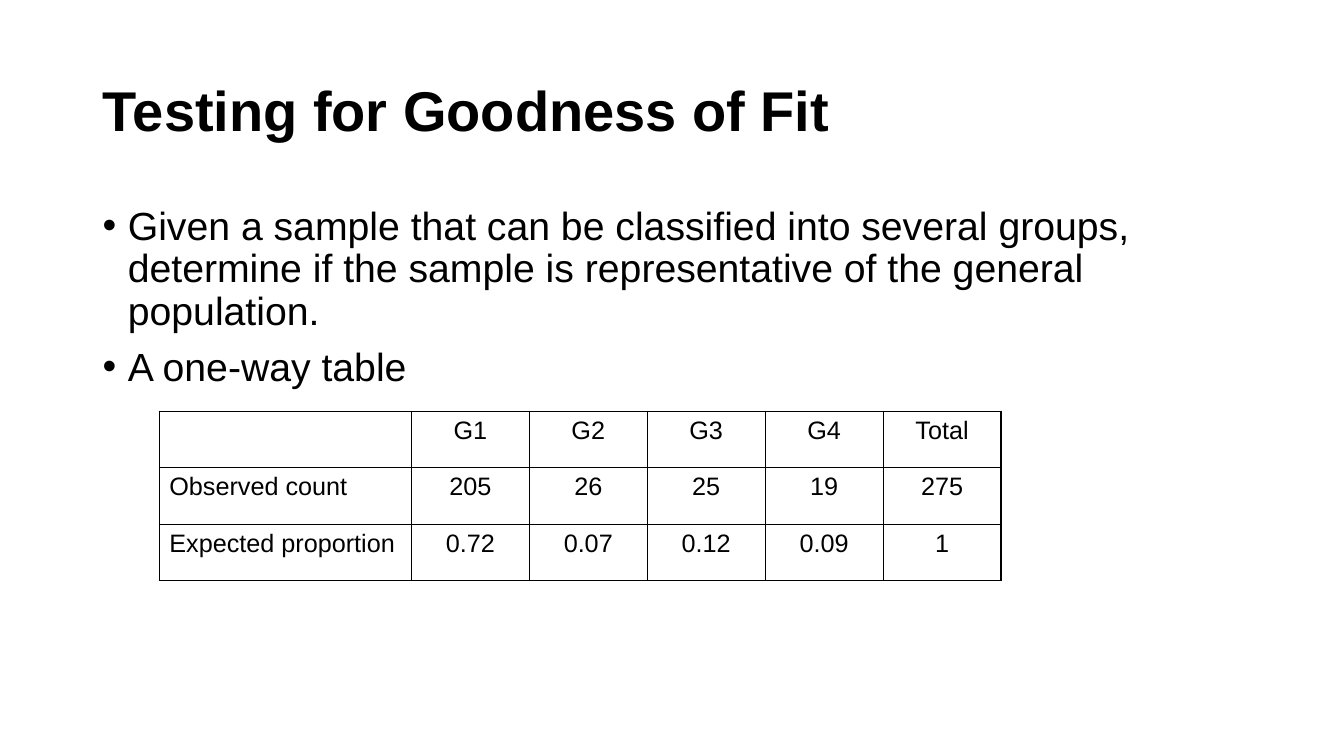
from lxml import etree
from pptx import Presentation
from pptx.dml.color import RGBColor
from pptx.enum.text import MSO_ANCHOR, PP_ALIGN
from pptx.oxml.ns import qn
from pptx.util import Inches, Pt

LEFT, CENTER = PP_ALIGN.LEFT, PP_ALIGN.CENTER
MIDDLE = MSO_ANCHOR.MIDDLE
FONT = "Arial"
COLORS = {"text": "000000", "border": "000000", "background": "FFFFFF"}
TITLE_ONLY = 5
MARGIN, CONTENT_WIDTH = 0.92, 11.5

BULLETS = [
    "Given a sample that can be classified into several groups, "
    "determine if the sample is representative of the general population.",
    "A one-way table",
]
TABLE_ROWS = [
    ["", "G1", "G2", "G3", "G4", "Total"],
    ["Observed count", "205", "26", "25", "19", "275"],
    ["Expected proportion", "0.72", "0.07", "0.12", "0.09", "1"],
]
LABEL_WIDTH, VALUE_WIDTH, ROW_HEIGHT = 2.5, 1.17, 0.56


def add_run(paragraph, text, size, bold=False):
    """Add one formatted run to a paragraph."""
    run = paragraph.add_run()
    run.text = text
    run.font.name = FONT
    run.font.size = Pt(size)
    run.font.bold = bold
    run.font.color.rgb = RGBColor.from_string(COLORS["text"])


def set_title(slide, text):
    """Place and fill the title placeholder."""
    title = slide.shapes.title
    title.left, title.top = Inches(MARGIN), Inches(0.4)
    title.width, title.height = Inches(CONTENT_WIDTH), Inches(1.45)
    title.text_frame.vertical_anchor = MIDDLE
    title.text_frame.word_wrap = True
    paragraph = title.text_frame.paragraphs[0]
    paragraph.alignment = LEFT
    paragraph.line_spacing = 0.9
    add_run(paragraph, text, 40, bold=True)


def format_bullet(paragraph):
    """Give a paragraph a round bullet with a hanging indent."""
    paragraph.line_spacing = 0.9
    paragraph.space_before = Pt(10)
    properties = paragraph._p.get_or_add_pPr()
    properties.set("marL", str(Inches(0.25)))
    properties.set("indent", str(Inches(-0.25)))
    etree.SubElement(properties, qn("a:buFont"), typeface=FONT)
    etree.SubElement(properties, qn("a:buChar"), char="•")


def add_bullets(slide, texts):
    """Add the bulleted body text."""
    box = slide.shapes.add_textbox(
        Inches(MARGIN), Inches(2), Inches(CONTENT_WIDTH), Inches(4.76))
    frame = box.text_frame
    frame.word_wrap = True
    for index, text in enumerate(texts):
        paragraph = frame.add_paragraph() if index else frame.paragraphs[0]
        format_bullet(paragraph)
        add_run(paragraph, text, 28)


def format_cell(cell):
    """Draw a thin border on every side and leave the cell unfilled."""
    properties = cell._tc.get_or_add_tcPr()
    for side in ("a:lnL", "a:lnR", "a:lnT", "a:lnB"):
        line = etree.SubElement(properties, qn(side), w=str(Pt(1)))
        fill = etree.SubElement(line, qn("a:solidFill"))
        etree.SubElement(fill, qn("a:srgbClr"), val=COLORS["border"])
    cell.fill.background()


def add_one_way_table(slide, rows):
    """Add the table of counts and proportions by group."""
    widths = [LABEL_WIDTH] + [VALUE_WIDTH] * (len(rows[0]) - 1)
    table = slide.shapes.add_table(
        len(rows), len(widths), Inches(1.58), Inches(4.08),
        Inches(sum(widths)), Inches(ROW_HEIGHT * len(rows))).table
    table.first_row = table.horz_banding = False
    for column, width in zip(table.columns, widths):
        column.width = Inches(width)
    for row_index, values in enumerate(rows):
        table.rows[row_index].height = Inches(ROW_HEIGHT)
        for column_index, value in enumerate(values):
            cell = table.cell(row_index, column_index)
            format_cell(cell)
            paragraph = cell.text_frame.paragraphs[0]
            paragraph.alignment = CENTER if column_index else LEFT
            if value:
                add_run(paragraph, value, 18)


def main():
    """Build the goodness-of-fit slide."""
    presentation = Presentation()
    presentation.slide_width = Inches(13.33)
    presentation.slide_height = Inches(7.5)
    slide = presentation.slides.add_slide(presentation.slide_layouts[TITLE_ONLY])
    background = slide.background.fill
    background.solid()
    background.fore_color.rgb = RGBColor.from_string(COLORS["background"])
    set_title(slide, "Testing for Goodness of Fit")
    add_bullets(slide, BULLETS)
    add_one_way_table(slide, TABLE_ROWS)
    presentation.save("out.pptx")


main()
